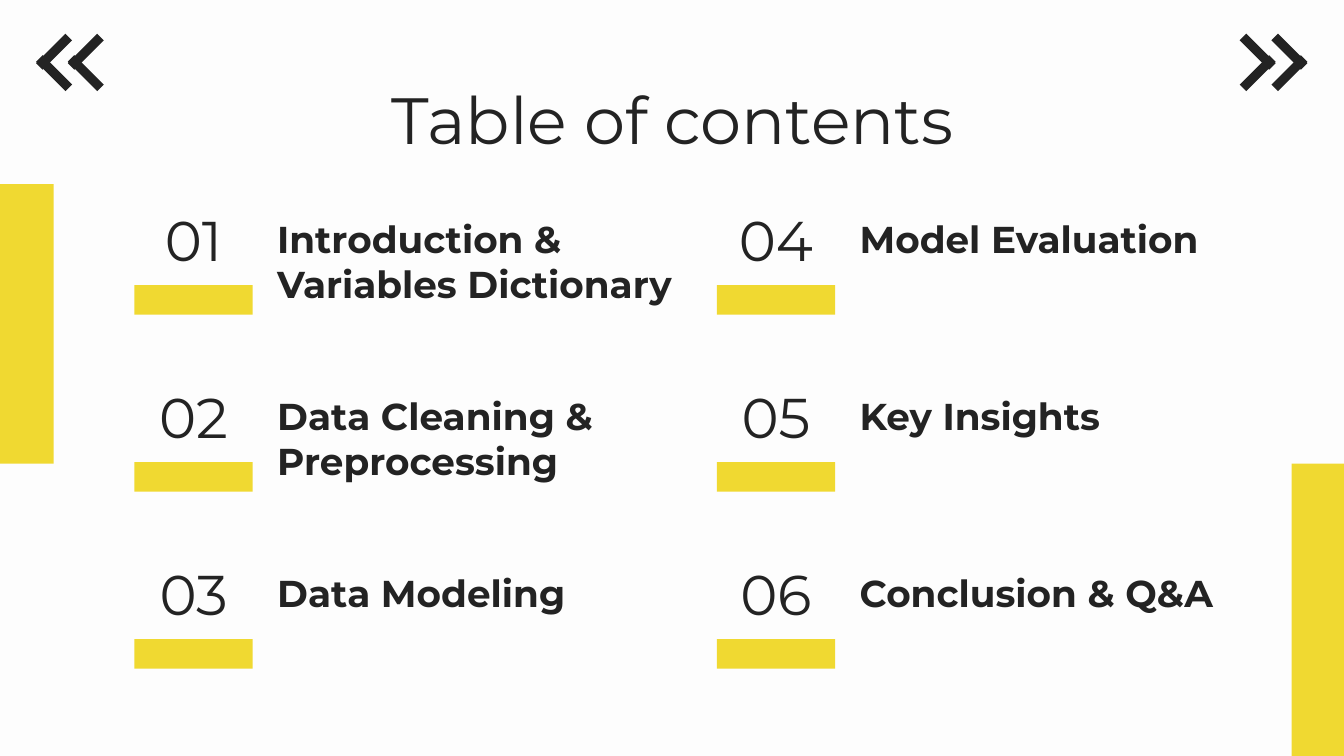
import pptx
import pptx.dml.color
import pptx.enum.shapes
import pptx.enum.text
import pptx.util

Pt = pptx.util.Pt
Anchor = pptx.enum.text.MSO_ANCHOR
Align = pptx.enum.text.PP_ALIGN

INK = pptx.dml.color.RGBColor(0x23, 0x23, 0x23)
YELLOW = pptx.dml.color.RGBColor(0xF0, 0xD9, 0x31)
PAPER = pptx.dml.color.RGBColor(0xFD, 0xFD, 0xFD)


class ContentsPage:
    font_name = "Montserrat"
    inset = 7.2

    def __init__(self, page):
        self.page = page
        page.background.fill.solid()
        page.background.fill.fore_color.rgb = PAPER

    def bar(self, left, top, width, height, color=YELLOW, rotation=0):
        bar = self.page.shapes.add_shape(
            pptx.enum.shapes.MSO_SHAPE.RECTANGLE,
            Pt(left), Pt(top), Pt(width), Pt(height))
        bar.shadow.inherit = False
        bar.fill.solid()
        bar.fill.fore_color.rgb = color
        bar.line.fill.background()
        bar.rotation = rotation

    def chevron(self, left, top, slope):
        """Two crossed strokes; slope 45 points right, -45 points left."""
        self.bar(left, top, 22.3, 5, INK, slope)
        self.bar(left, top + 11.5, 22.3, 5, INK, -slope)

    def fill_text(self, box, text, size, anchor, align, bold=False):
        frame = box.text_frame
        frame.word_wrap = True
        frame.auto_size = pptx.enum.text.MSO_AUTO_SIZE.NONE
        frame.vertical_anchor = anchor
        frame.margin_left = frame.margin_right = Pt(self.inset)
        frame.margin_top = frame.margin_bottom = Pt(self.inset)
        para = frame.paragraphs[0]
        para.alignment = align
        para.line_spacing = 1.0
        para.space_before = Pt(0)
        span = para.add_run()
        span.text = text
        span.font.name = self.font_name
        span.font.size = Pt(size)
        span.font.bold = bold
        span.font.color.rgb = INK

    def title(self, text, left, top, width, height):
        box = self.page.shapes.title
        box.left, box.top = Pt(left), Pt(top)
        box.width, box.height = Pt(width), Pt(height)
        self.fill_text(box, text, 35, Anchor.TOP, Align.CENTER)

    def text(self, text, left, top, width, height, size, anchor, align, bold=False):
        box = self.page.shapes.add_textbox(Pt(left), Pt(top), Pt(width), Pt(height))
        self.fill_text(box, text, size, anchor, align, bold)

    def entry(self, number, label, left, top, label_width, lines):
        self.text(f"{number:02d}", left, top, 63.4, 50.4, 30,
                  Anchor.MIDDLE, Align.CENTER)
        # Bottom-anchored label: each extra line lowers the box by one line
        self.text(label, left + 69.4, top + 12.4 + 24 * (lines - 1),
                  label_width, 31.7, 20, Anchor.BOTTOM, Align.LEFT, True)
        self.bar(left, top + 49.8, 63.4, 15.8)


def main():
    deck = pptx.Presentation()
    deck.slide_width, deck.slide_height = Pt(720), Pt(405)
    contents = ContentsPage(deck.slides.add_slide(deck.slide_layouts[5]))

    # Side bars that bleed over the slide edges
    contents.bar(691.9, 248.4, 56.9, 157)
    contents.bar(-28.1, 98.6, 56.9, 149.8)

    # Double chevrons in the top corners
    for left, slope in ((662.6, 45), (679.6, 45), (34.8, -45), (17.8, -45)):
        contents.chevron(left, 25.2, slope)

    contents.title("Table of contents", 56.9, 35.3, 607, 45.4)

    # Entries run down each column: label, label width, line count
    entries = (
        ("Introduction & Variables Dictionary", 236.2, 2),
        ("Data Cleaning & Preprocessing", 195.1, 2),
        ("Data Modeling", 195.1, 1),
        ("Model Evaluation", 217.4, 1),
        ("Key Insights", 195.1, 1),
        ("Conclusion & Q&A", 210.2, 1),
    )
    for index, (label, label_width, lines) in enumerate(entries):
        column, row = divmod(index, 3)
        contents.entry(index + 1, label, 72 + 312 * column, 103 + 94.8 * row,
                       label_width, lines)

    deck.save("out.pptx")


if __name__ == "__main__":
    main()
